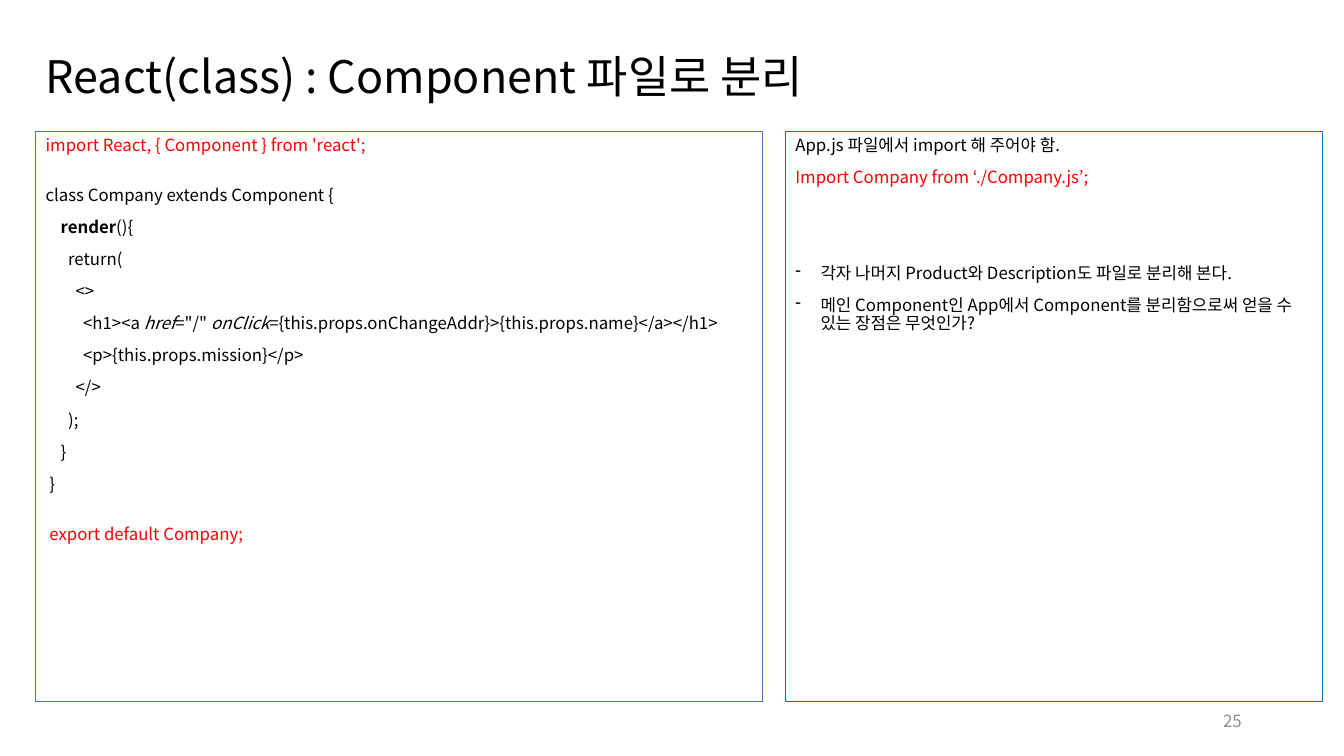
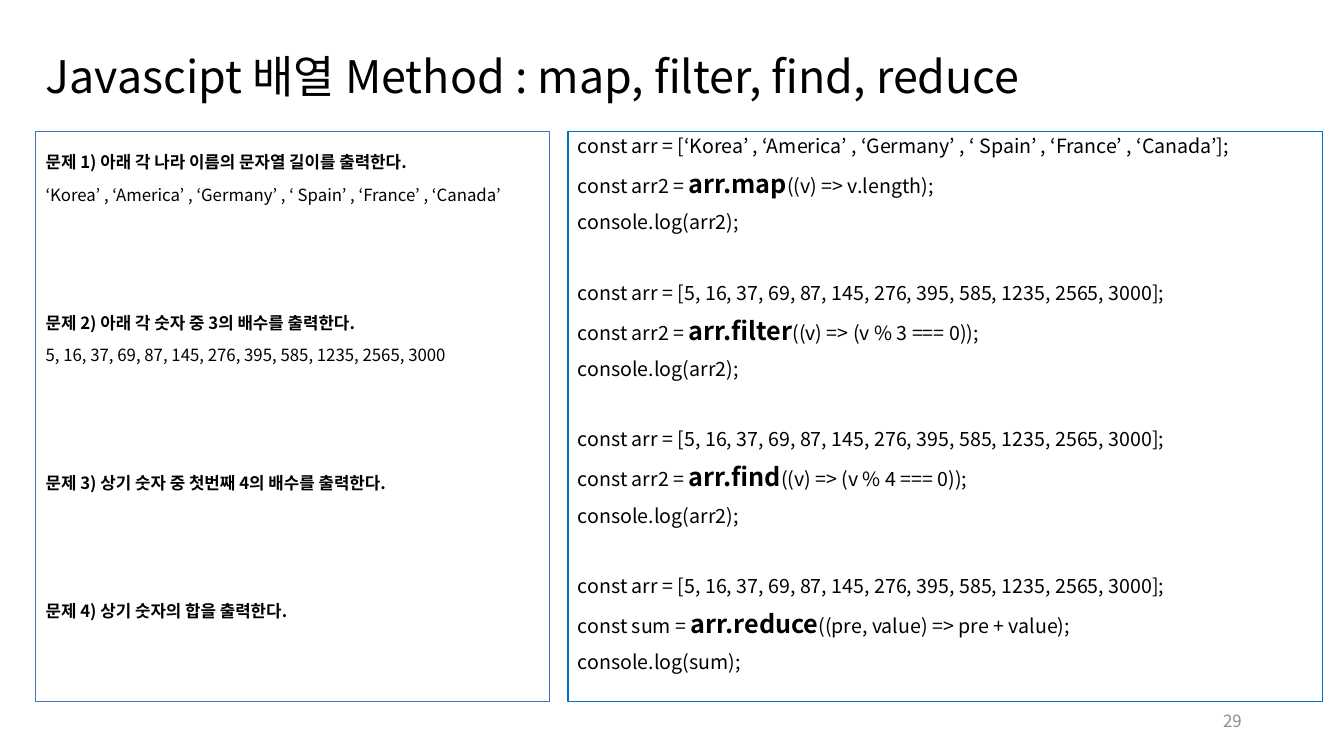
from dataclasses import dataclass

from lxml import etree
from pptx import Presentation, util as u
from pptx.dml import color as dml
from pptx.enum import shapes, text
from pptx.oxml import ns

PX = 9525


@dataclass(frozen=True)
class Theme:
    font: str = "Noto Sans CJK KR"
    ink: str = "000000"
    accent: str = "FF0000"
    muted: str = "8C8C8C"
    left_line: str = "4472C4"
    right_line: str = "0070C0"
    title: int = 32
    body: int = 12
    code: int = 14
    method: int = 18
    leading: float = 0.9
    space: int = 10
    row: float = 1.07


T = Theme()
TITLE_BOX = (34, 38, 1215, 74)
NUMBER_BOX = (904, 667, 288, 38)
CONTENT_BOX = (34, 125, 1226, 543)


def px(*values):
    return [u.Emu(v * PX) for v in values]


def rgb(value):
    return dml.RGBColor.from_string(value)


def rows_gap(rows, size):
    return u.Pt(round(T.space + rows * (T.space + size * T.row), 1))


def add_run(p, content, size=T.body, color=T.ink, bold=False, italic=False):
    r = p.add_run()
    r.text = content
    f = r.font
    f.name, f.size, f.bold, f.italic = T.font, u.Pt(size), bold, italic
    f.color.rgb = rgb(color)
    ea = etree.SubElement(r._r.get_or_add_rPr(), ns.qn("a:ea"))
    ea.set("typeface", T.font)


def add_dash(p):
    pPr = p._p.get_or_add_pPr()
    indent = 24 * PX
    pPr.set("marL", str(indent))
    pPr.set("indent", str(-indent))
    etree.SubElement(pPr, ns.qn("a:buFontTx"))
    etree.SubElement(pPr, ns.qn("a:buChar")).set("char", "-")


def add_text(tf, content, before=u.Pt(T.space), leading=T.leading,
             align=text.PP_ALIGN.LEFT, dash=False, **fmt):
    first = not tf.paragraphs[0].runs
    p = tf.paragraphs[0] if first else tf.add_paragraph()
    if dash:
        add_dash(p)
    p.alignment = align
    p.line_spacing = leading
    p.space_before = u.Pt(0) if first else before
    parts = [(content, {})] if isinstance(content, str) else content
    for part, extra in parts:
        add_run(p, part, **{**fmt, **extra})


def add_label(s, box, content, **fmt):
    tf = s.shapes.add_textbox(*px(*box)).text_frame
    tf.word_wrap = True
    tf.vertical_anchor = text.MSO_ANCHOR.MIDDLE
    add_text(tf, content, **fmt)


def add_panel(s, box, line, top_inset=5):
    sp = s.shapes.add_shape(shapes.MSO_SHAPE.RECTANGLE, *px(*box))
    sp.shadow.inherit = False
    sp.fill.background()
    sp.line.color.rgb = rgb(line)
    sp.line.width = u.Pt(0.75)
    tf = sp.text_frame
    tf.word_wrap = True
    tf.vertical_anchor = text.MSO_ANCHOR.TOP
    tf.margin_top = px(top_inset)[0]
    return tf


def add_frame(prs, title, number):
    s = prs.slides.add_slide(prs.slide_layouts[6])
    add_label(s, TITLE_BOX, title, size=T.title)
    add_label(s, NUMBER_BOX, str(number), color=T.muted, leading=1.0,
              align=text.PP_ALIGN.RIGHT)
    return s


def split(box, left_width, gap):
    x, y, w, h = box
    offset = left_width + gap
    return (x, y, left_width, h), (x + offset, y, w - offset, h)


def component_code(s, box):
    tf = add_panel(s, box, T.left_line)
    blank_line = u.Pt(round(T.space + T.body * T.row, 1))
    bold, italic = {"bold": True}, {"italic": True}
    add_text(tf, "import React, { Component } from 'react';", color=T.accent)
    add_text(tf, "class Company extends Component {", before=blank_line)
    for line in (
        [("    ", {}), ("render", bold), ("(){", {})],
        "      return(",
        "        <>",
        [("          <h1><a ", {}), ("href", italic), ('="/" ', {}),
         ("onClick", italic),
         ("={this.props.onChangeAddr}>{this.props.name}</a></h1>", {})],
        "          <p>{this.props.mission}</p>",
        "        </>",
        "      );",
        "    }",
        " }",
    ):
        add_text(tf, line)
    add_text(tf, " export default Company;", before=blank_line,
             color=T.accent)


def import_notes(s, box):
    tf = add_panel(s, box, T.right_line)
    add_text(tf, "App.js 파일에서 import 해 주어야 함.")
    add_text(tf, "Import Company from ‘./Company.js’;", color=T.accent)
    add_text(tf, "각자 나머지 Product와 Description도 파일로 분리해 본다.",
             before=rows_gap(2, T.body), dash=True)
    add_text(tf, "메인 Component인 App에서 Component를 분리함으로써 "
                 "얻을 수 있는 장점은 무엇인가?", dash=True)


COUNTRIES = "‘Korea’ , ‘America’ , ‘Germany’ , ‘ Spain’ , ‘France’ , ‘Canada’"
NUMBERS = "5, 16, 37, 69, 87, 145, 276, 395, 585, 1235, 2565, 3000"


def exercises(s, box):
    tf = add_panel(s, box, T.left_line, top_inset=22)
    questions = (
        ("아래 각 나라 이름의 문자열 길이를 출력한다.", COUNTRIES),
        ("아래 각 숫자 중 3의 배수를 출력한다.", NUMBERS),
        ("상기 숫자 중 첫번째 4의 배수를 출력한다.", None),
        ("상기 숫자의 합을 출력한다.", None),
    )
    for i, (question, data) in enumerate(questions, 1):
        add_text(tf, f"문제 {i}) {question}", before=rows_gap(3, T.body),
                 bold=True)
        if data:
            add_text(tf, data)


def solutions(s, box):
    tf = add_panel(s, box, T.right_line)
    method = {"size": T.method, "bold": True}
    for data, name, call, args in (
        (COUNTRIES, "arr2", "map", "((v) => v.length);"),
        (NUMBERS, "arr2", "filter", "((v) => (v % 3 === 0));"),
        (NUMBERS, "arr2", "find", "((v) => (v % 4 === 0));"),
        (NUMBERS, "sum", "reduce", "((pre, value) => pre + value);"),
    ):
        add_text(tf, f"const arr = [{data}];", size=T.code,
                 before=rows_gap(1, T.code))
        add_text(tf, [(f"const {name} = ", {}), (f"arr.{call}", method),
                      (args, {})], size=T.code)
        add_text(tf, f"console.log({name});", size=T.code)


def component_slide(prs):
    s = add_frame(prs, "React(class) : Component 파일로 분리", 25)
    left, right = split(CONTENT_BOX, 692, 22)
    component_code(s, left)
    import_notes(s, right)


def array_slide(prs):
    s = add_frame(prs, "Javascipt 배열 Method : map, filter, find, reduce", 29)
    left, right = split(CONTENT_BOX, 489, 18)
    exercises(s, left)
    solutions(s, right)


def main():
    prs = Presentation()
    prs.slide_width, prs.slide_height = px(1280, 720)
    component_slide(prs)
    array_slide(prs)
    prs.save("out.pptx")


if __name__ == "__main__":
    main()
